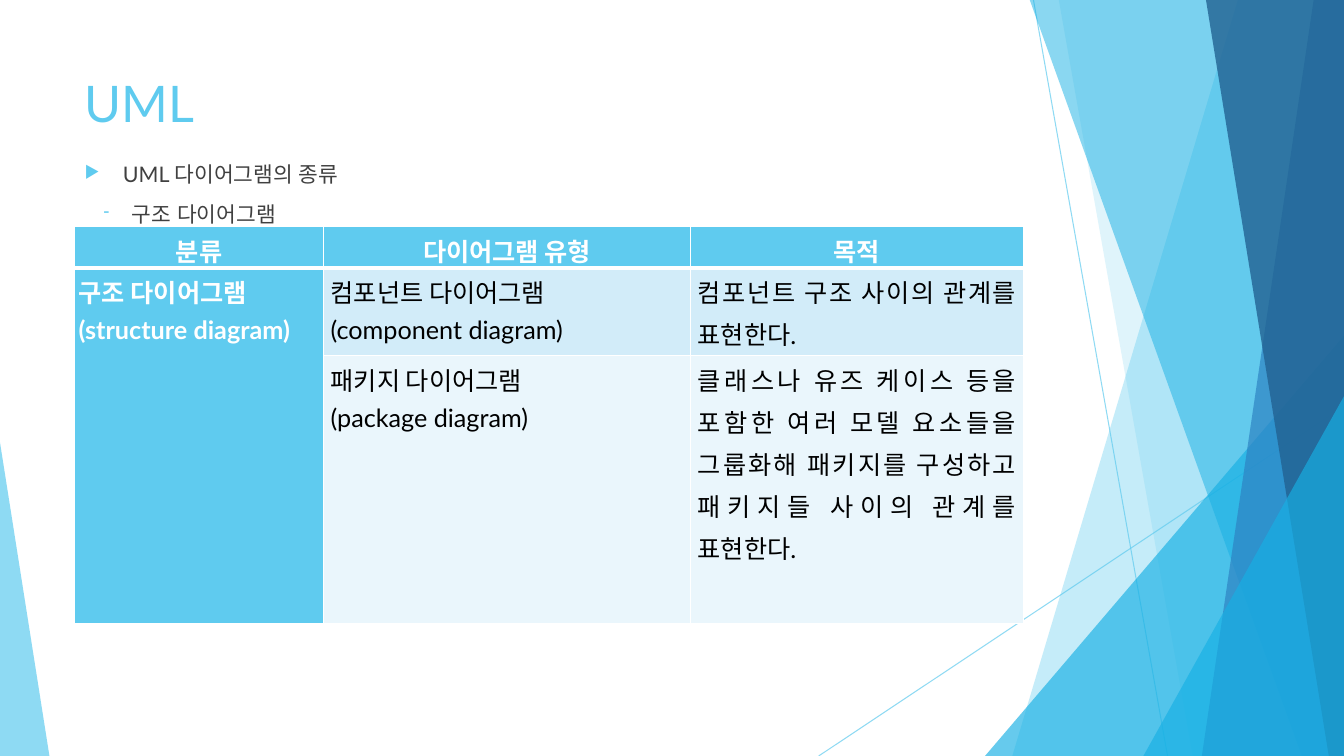
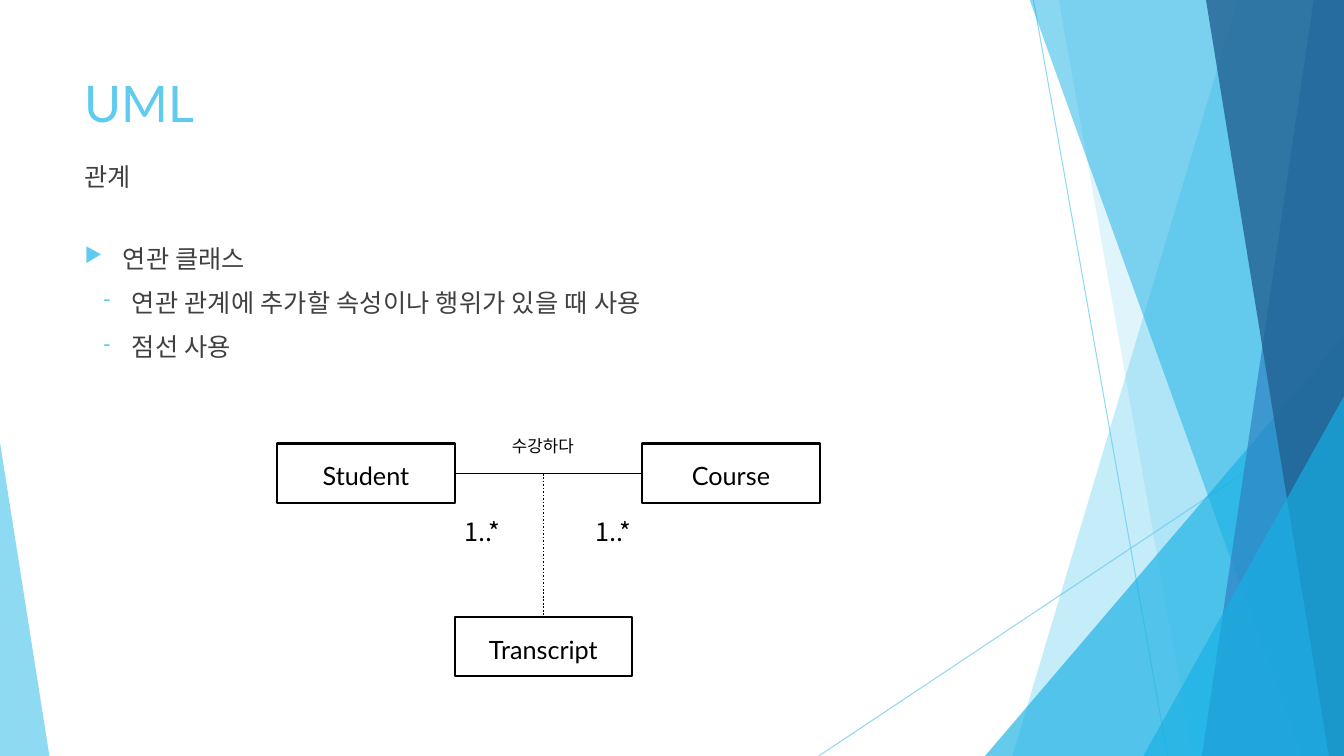
"""Build two UML lecture slides with a faceted blue backdrop."""
import pptx
import pptx.dml.color
import pptx.enum.shapes
import pptx.enum.text
import pptx.oxml
import pptx.oxml.ns
import pptx.util
from pptx.util import Inches

ALIGN = pptx.enum.text.PP_ALIGN
ANCHOR = pptx.enum.text.MSO_ANCHOR
SHAPE = pptx.enum.shapes.MSO_SHAPE
W, H = 13.33, 7.5
LEFT, TEXT_W = 0.74, 9.4
LATO, NOTO = "Lato", "Noto Sans CJK KR"
SKY, CYAN, BLUE, NAVY = "5FCBEF", "17B0E4", "2E83C3", "226292"
BLACK, WHITE, GREY = "000000", "FFFFFF", "404040"
ROW_FILLS = [SKY, "D2ECF9", "EAF6FC"]
BACK_BANDS = [(SKY, 36, 12.28, 10.04), (SKY, 20, 10.5, 11.83)]
FRONT_BANDS = [(CYAN, 50, 10.21, 12.91), (BLUE, 70, 13.03, 11.92), (NAVY, 80, 11.96, 13.18)]
BULLETS = {"▶": (0.38, -0.38), "-": (0.47, -0.28)}


def rgb(value):
    return pptx.dml.color.RGBColor.from_string(value)


def put(obj, values):
    for name, value in values.items():
        setattr(obj, name, value)


def add_xml(parent, xml):
    ns = pptx.oxml.ns.nsdecls("a")
    el = pptx.oxml.parse_xml(xml.replace("/>", f" {ns}/>", 1) if xml.endswith("/>") and xml.count("<") == 1
                             else xml.replace(">", f" {ns}>", 1))
    parent.append(el)


def set_alpha(parent, percent):
    clr = next(parent.iter(pptx.oxml.ns.qn("a:srgbClr")))
    add_xml(clr, f'<a:alpha val="{percent * 1000}"/>')


class Deck:
    def __init__(self):
        self.prs = pptx.Presentation()
        put(self.prs, {"slide_width": Inches(W), "slide_height": Inches(H)})
        self.s = None

    def new_slide(self, title):
        self.s = self.prs.slides.add_slide(self.prs.slide_layouts[6])
        self.line((10.25, 0), (11.58, H), SKY, 0.75, alpha=70)
        self.line((W, 4.03), (8.12, H), SKY, 0.75, alpha=70)
        for band in BACK_BANDS:
            self.band(*band)
        self.triangle((9.77, 3.33, 3.56, 4.17), CYAN, 66, 1)
        for band in FRONT_BANDS:
            self.band(*band)
        self.triangle((11.34, 3.93, 1.99, 3.57), CYAN, 66, 1)
        self.triangle((0, 4.39, 0.49, 3.11), SKY, 70, 0)
        self.text_box(0.67, 0.76, [(title, None)], 36, SKY)

    def facet(self, sp, color, alpha):
        sp.shadow.inherit = False
        sp.fill.solid()
        sp.fill.fore_color.rgb = rgb(color)
        set_alpha(sp.fill._xPr.find(pptx.oxml.ns.qn("a:solidFill")), alpha)
        sp.line.fill.background()

    def band(self, color, alpha, top_x, bottom_x):
        fb = self.s.shapes.build_freeform(Inches(top_x), Inches(-0.01))
        corners = [(W, -0.01), (W, H), (bottom_x, H)]
        fb.add_line_segments([(Inches(x), Inches(y)) for x, y in corners], close=True)
        self.facet(fb.convert_to_shape(), color, alpha)

    def triangle(self, at, color, alpha, apex):
        sp = self.s.shapes.add_shape(SHAPE.ISOSCELES_TRIANGLE, *map(Inches, at))
        sp.adjustments[0] = apex
        self.facet(sp, color, alpha)

    def line(self, start, end, color, width, alpha=None, dash=None, begin=None, finish=None):
        cx = self.s.shapes.add_connector(
            pptx.enum.shapes.MSO_CONNECTOR.STRAIGHT, *map(Inches, start + end))
        if begin:
            cx.begin_connect(*begin)
        if finish:
            cx.end_connect(*finish)
        put(cx.line, {"width": pptx.util.Pt(width), "dash_style": dash})
        cx.line.color.rgb = rgb(color)
        if alpha:
            set_alpha(cx.line._ln, alpha)
        add_xml(cx._element.spPr, "<a:effectLst/>")

    def paragraph(self, p, text, size, color, font=LATO, asian=LATO, bold=False, **para):
        put(p, para)
        r = p.add_run()
        r.text = text
        put(r.font, {"name": font, "size": pptx.util.Pt(size), "bold": bold})
        r.font.color.rgb = rgb(color)
        add_xml(r.font._element, f'<a:ea typeface="{asian}"/>')

    def bullet(self, p, char):
        pPr = p._p.get_or_add_pPr()
        margin, indent = BULLETS[char]
        pPr.set("marL", str(Inches(margin)))
        pPr.set("indent", str(Inches(indent)))
        add_xml(pPr, f'<a:buClr><a:srgbClr val="{SKY}"/></a:buClr>')
        add_xml(pPr, '<a:buSzPct val="80000"/>')
        add_xml(pPr, f'<a:buChar char="{char}"/>')

    def text_box(self, top, height, items, size, color=GREY):
        tf = self.s.shapes.add_textbox(*map(Inches, (LEFT, top, TEXT_W, height))).text_frame
        tf.word_wrap = True
        for i, (text, char) in enumerate(items):
            p = tf.add_paragraph() if i else tf.paragraphs[0]
            if char:
                self.bullet(p, char)
            self.paragraph(p, text, size, color, space_before=pptx.util.Pt(10 if i else 0))

    def box(self, text, at, size=18, font=LATO, border=BLACK, width=1.5,
            align=ALIGN.CENTER, anchor=ANCHOR.MIDDLE):
        sp = self.s.shapes.add_shape(SHAPE.RECTANGLE, *map(Inches, at))
        sp.shadow.inherit = False
        sp.fill.solid()
        sp.fill.fore_color.rgb = rgb(WHITE)
        sp.line.color.rgb = rgb(border)
        sp.line.width = pptx.util.Pt(width)
        put(sp.text_frame, {"word_wrap": True, "vertical_anchor": anchor})
        self.paragraph(sp.text_frame.paragraphs[0], text, size, BLACK, font, NOTO,
                       alignment=align, line_spacing=1.15)
        return sp

    def label(self, text, at, size=18):
        self.box(text, at, size, NOTO, WHITE, 0.75, ALIGN.JUSTIFY, ANCHOR.TOP)

    def cell(self, cell, text, fill, header, strong):
        tcPr = cell._tc.get_or_add_tcPr()
        for side in "LRTB":
            pt = 3 if header and side == "B" else 1
            add_xml(tcPr, f'<a:ln{side} w="{pt * 12700}"><a:solidFill>'
                          f'<a:srgbClr val="{WHITE}"/></a:solidFill></a:ln{side}>')
        cell.fill.solid()
        cell.fill.fore_color.rgb = rgb(fill)
        side = Inches(0.04 if strong else 0.07)
        put(cell, {"margin_left": side, "margin_right": side, "margin_top": 0, "margin_bottom": 0})
        tf = cell.text_frame
        for i, part in enumerate(text.split("\n") if text else []):
            p = tf.add_paragraph() if i else tf.paragraphs[0]
            self.paragraph(p, part, 18, WHITE if strong else BLACK, asian=NOTO, bold=strong,
                           alignment=ALIGN.CENTER if header else ALIGN.JUSTIFY, line_spacing=1.15)

    def table(self, at, widths, heights, rows):
        tbl = self.s.shapes.add_table(
            len(rows), len(widths), *map(Inches, at + (sum(widths), sum(heights)))).table
        tbl.horz_banding = False
        for col, width in zip(tbl.columns, widths):
            col.width = Inches(width)
        for row, height in zip(tbl.rows, heights):
            row.height = Inches(height)
        tbl.cell(1, 0).merge(tbl.cell(len(rows) - 1, 0))
        for i, row in enumerate(rows):
            for j, text in enumerate(row):
                strong = i == 0 or j == 0
                self.cell(tbl.cell(i, j), text, SKY if strong else ROW_FILLS[i], i == 0, strong)


def main():
    deck = Deck()

    deck.new_slide("UML")
    deck.table((LEFT, 2.25), [2.47, 3.64, 3.3], [0.41, 0.87, 2.66], [
        ["분류", "다이어그램 유형", "목적"],
        ["구조 다이어그램\n(structure diagram)", "컴포넌트 다이어그램\n(component diagram)",
         "컴포넌트 구조 사이의 관계를 표현한다."],
        ["", "패키지 다이어그램\n(package diagram)",
         "클래스나 유즈 케이스 등을 포함한 여러 모델 요소들을 그룹화해 패키지를 구성하고 "
         "패키지들 사이의 관계를 표현한다."],
    ])
    deck.text_box(1.55, 0.68, [("UML 다이어그램의 종류", "▶"), ("구조 다이어그램", "-")], 15.3)

    deck.new_slide("UML")
    deck.text_box(2.36, 1.31, [("연관 클래스", "▶"),
                               ("연관 관계에 추가할 속성이나 행위가 있을 때 사용", "-"),
                               ("점선 사용", "-")], 18)
    deck.text_box(1.55, 0.68, [("관계", None)], 18)
    size = (1.76, 0.59)
    course = deck.box("Course", (6.37, 4.4) + size)
    student = deck.box("Student", (2.75, 4.4) + size)
    transcript = deck.box("Transcript", (4.51, 6.12) + size)
    deck.label("수강하다", (4.98, 4.24, 0.97, 0.31), 12)
    for x in (4.51, 5.81):
        deck.label("1..*", (x, 5.03, 0.56, 0.35))
    deck.line((4.51, 4.7), (6.37, 4.7), BLACK, 1, begin=(student, 3), finish=(course, 1))
    deck.line((5.39, 4.7), (5.39, 6.12), BLACK, 1.25,
              dash=pptx.enum.dml.MSO_LINE.ROUND_DOT, finish=(transcript, 0))

    deck.prs.save("out.pptx")


if __name__ == "__main__":
    main()
